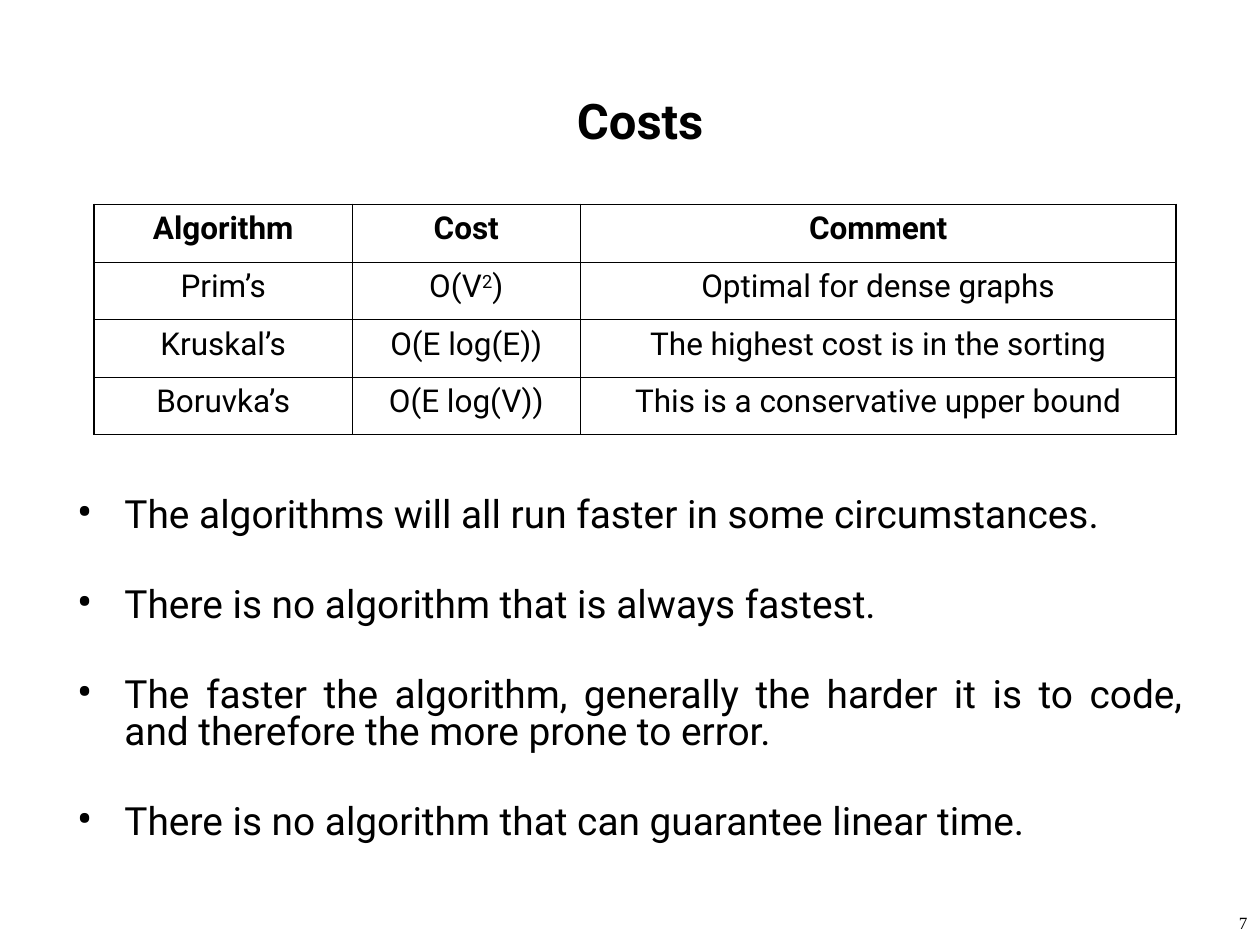
from lxml import etree
from pptx import Presentation
from pptx import util as u
from pptx.dml.color import RGBColor
from pptx.enum import text
from pptx.oxml import ns

BLACK = RGBColor(0, 0, 0)
FONT = "Roboto"
THIN, THICK = u.Pt(0.45), u.Pt(1.08)

COLUMN_WIDTHS = [u.Cm(5.2), u.Cm(4.6), u.Cm(12.01)]
ROW_HEIGHT = u.Cm(1.16)
# Each cell is plain text or a list of (text, is_superscript) pieces
ROWS = [
    ["Algorithm", "Cost", "Comment"],
    ["Prim’s", [("O(V", False), ("2", True), (")", False)], "Optimal for dense graphs"],
    ["Kruskal’s", "O(E log(E))", "The highest cost is in the sorting"],
    ["Boruvka’s", "O(E log(V))", "This is a conservative upper bound"],
]
POINTS = [
    "The algorithms will all run faster in some circumstances.",
    "There is no algorithm that is always fastest.",
    "The faster the algorithm, generally the harder it is to code, "
    "and therefore the more prone to error.",
    "There is no algorithm that can guarantee linear time.",
]


def set_attributes(target, values):
    for name, value in values.items():
        setattr(target, name, value)


def add_run(paragraph, content, size, bold=False, name=FONT):
    run = paragraph.add_run()
    run.text = content
    set_attributes(run.font, {"name": name, "size": u.Pt(size), "bold": bold})
    run.font.color.rgb = BLACK
    return run


def add_text_frame(slide, left, top, width, height, anchor=text.MSO_ANCHOR.TOP):
    box = slide.shapes.add_textbox(u.Cm(left), u.Cm(top), u.Cm(width), u.Cm(height))
    set_attributes(box.text_frame, {"word_wrap": True, "vertical_anchor": anchor})
    return box.text_frame


def add_bullet(paragraph):
    properties = paragraph._p.get_or_add_pPr()
    indent = u.Cm(0.96)
    properties.set("marL", str(indent))
    properties.set("indent", str(-indent))
    color = etree.SubElement(properties, ns.qn("a:buClr"))
    etree.SubElement(color, ns.qn("a:srgbClr"), val=str(BLACK))
    etree.SubElement(properties, ns.qn("a:buSzPct"), val="120000")
    etree.SubElement(properties, ns.qn("a:buFont"), typeface=FONT)
    etree.SubElement(properties, ns.qn("a:buChar"), char="•")


def set_borders(cell, widths):
    """Draw the left, right, top and bottom borders of a cell."""
    properties = cell._tc.get_or_add_tcPr()
    for index, (side, width) in enumerate(zip("LRTB", widths)):
        line = etree.Element(ns.qn(f"a:ln{side}"), w=str(width))
        fill = etree.SubElement(line, ns.qn("a:solidFill"))
        etree.SubElement(fill, ns.qn("a:srgbClr"), val=str(BLACK))
        properties.insert(index, line)


def fill_cell(cell, content, bold):
    set_attributes(cell, {"margin_left": u.Cm(0.2), "margin_right": u.Cm(0.2),
                          "margin_top": u.Cm(0.13), "margin_bottom": u.Cm(0.13)})
    cell.fill.background()
    paragraph = cell.text_frame.paragraphs[0]
    paragraph.alignment = text.PP_ALIGN.CENTER
    pieces = [(content, False)] if isinstance(content, str) else content
    for piece, is_superscript in pieces:
        run = add_run(paragraph, piece, 18, bold)
        if is_superscript:
            run.font._element.set("baseline", "30000")


def add_cost_table(slide):
    row_count, column_count = len(ROWS), len(COLUMN_WIDTHS)
    table = slide.shapes.add_table(row_count, column_count, u.Cm(1.9), u.Cm(4.12),
                                   sum(COLUMN_WIDTHS), ROW_HEIGHT * row_count).table
    set_attributes(table, {"first_row": False, "horz_banding": False})
    for column, width in zip(table.columns, COLUMN_WIDTHS):
        column.width = width
    for r, row in enumerate(ROWS):
        table.rows[r].height = ROW_HEIGHT
        for c, content in enumerate(row):
            cell = table.cell(r, c)
            fill_cell(cell, content, bold=r == 0)
            # The outer frame is thicker than the inner grid
            on_frame = (c == 0, c == column_count - 1, r == 0, r == row_count - 1)
            set_borders(cell, [THICK if outer else THIN for outer in on_frame])


def add_points(slide):
    frame = add_text_frame(slide, 1.3, 9.93, 22.81, 8)
    for index, point in enumerate(POINTS):
        paragraph = frame.add_paragraph() if index else frame.paragraphs[0]
        set_attributes(paragraph, {"alignment": text.PP_ALIGN.JUSTIFY,
                                   "line_spacing": 0.8, "space_before": u.Pt(30)})
        add_bullet(paragraph)
        add_run(paragraph, point, 22.2)


def main():
    presentation = Presentation()
    set_attributes(presentation, {"slide_width": u.Cm(25.4), "slide_height": u.Cm(19.05)})
    slide = presentation.slides.add_slide(presentation.slide_layouts[6])

    # Slide number
    number = add_text_frame(slide, 23.77, 18.34, 1.63, 0.71).paragraphs[0]
    set_attributes(number, {"alignment": text.PP_ALIGN.RIGHT, "line_spacing": 0.8})
    add_run(number, "7", 9.8, name="Times New Roman")

    # Title
    title = add_text_frame(slide, 2.11, 1.52, 21.59, 1.8, text.MSO_ANCHOR.MIDDLE).paragraphs[0]
    title.alignment = text.PP_ALIGN.CENTER
    add_run(title, "Costs", 28, bold=True)

    # Remarks and cost table
    add_points(slide)
    add_cost_table(slide)

    presentation.save("out.pptx")


if __name__ == "__main__":
    main()
